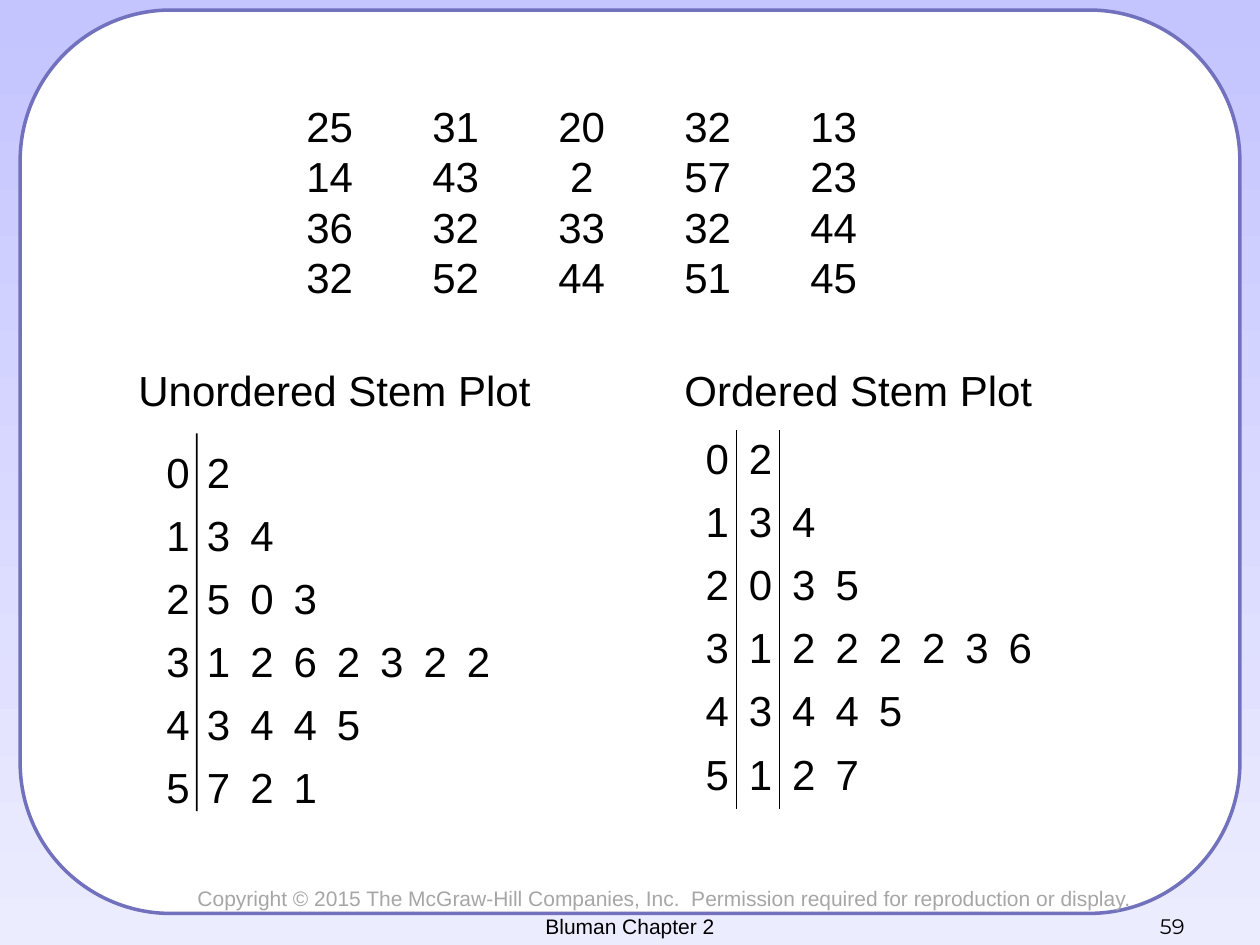
from dataclasses import dataclass

from lxml.etree import SubElement
from pptx import Presentation
from pptx.dml.color import RGBColor as RGB
from pptx.enum.shapes import MSO_SHAPE as SHAPE
from pptx.enum.text import MSO_ANCHOR as ANCHOR, PP_ALIGN as ALIGN
from pptx.oxml.ns import qn
from pptx.util import Pt


@dataclass(frozen=True)
class Theme:
    sky_top: RGB = RGB(0xC4, 0xC4, 0xFF)
    sky_bottom: RGB = RGB(0xEC, 0xEC, 0xFF)
    paper: RGB = RGB(0xFF, 0xFF, 0xFF)
    frame: RGB = RGB(0x71, 0x71, 0xBD)
    ink: RGB = RGB(0, 0, 0)
    muted: RGB = RGB(0xA6, 0xA6, 0xA6)
    font: str = "Arial"
    number_font: str = "Montserrat"
    body: int = 24
    small: int = 12


THEME = Theme()
PLAIN_TABLE_STYLE = "{2D5ABB26-0587-4C30-8999-92F81FD0307C}"
LINE_PITCH = 28.8
TAB_STEP = 72
COLUMNS = 8
COLUMN_WIDTH = 24.75
ROW_HEIGHT = 36

DATA = ["25\t31\t20\t32\t13", "14\t43\t 2\t57\t23",
        "36\t32\t33\t32\t44", "32\t52\t44\t51\t45"]
UNORDERED = ["2", "34", "503", "1262322", "3445", "721"]
ORDERED = ["2", "34", "035", "1222236", "3445", "127"]


def add_run(p, text, size, color=THEME.ink, font=THEME.font):
    r = p.add_run()
    r.text = text
    r.font.name = font
    r.font.size = Pt(size)
    r.font.bold = False
    r.font.color.rgb = color


def add_tabs(p, count):
    tabs = SubElement(p._p.get_or_add_pPr(), qn("a:tabLst"))
    for i in range(1, count + 1):
        SubElement(tabs, qn("a:tab"), pos=str(Pt(i * TAB_STEP)), algn="l")


def add_text(s, box, lines, size, color=THEME.ink, font=THEME.font,
             align=ALIGN.LEFT, anchor=ANCHOR.TOP, pitch=None, wrap=True):
    tf = s.shapes.add_textbox(*map(Pt, box)).text_frame
    tf.word_wrap = wrap
    tf.vertical_anchor = anchor
    for i, line in enumerate(lines):
        p = tf.paragraphs[0] if i == 0 else tf.add_paragraph()
        p.alignment = align
        if pitch:
            p.line_spacing = Pt(pitch)
        if "\t" in line:
            add_tabs(p, line.count("\t"))
        add_run(p, line, size, color, font)
    return tf


def add_body_text(s, box, lines, top_inset, wrap=True):
    tf = add_text(s, box, lines, THEME.body, pitch=LINE_PITCH, wrap=wrap)
    tf.margin_top = Pt(top_inset)


def add_background(s):
    fill = s.background.fill
    fill.gradient()
    fill.gradient_angle = 270
    for stop, color in zip(fill.gradient_stops, (THEME.sky_top, THEME.sky_bottom)):
        stop.color.rgb = color


def add_block(s, shape, box, color):
    sp = s.shapes.add_shape(shape, *map(Pt, box))
    sp.shadow.inherit = False
    sp.fill.solid()
    sp.fill.fore_color.rgb = color
    sp.line.fill.background()
    return sp


def add_frame(s):
    sp = add_block(s, SHAPE.ROUNDED_RECTANGLE, (11.5, 5.75, 697, 516.25), THEME.paper)
    sp.line.color.rgb = THEME.frame
    sp.line.width = Pt(2)


def stem_cells(leaves):
    for stem, row in enumerate(leaves):
        for i, digit in enumerate(f"{stem}{row}".ljust(COLUMNS)):
            yield stem, i, digit.strip()


def add_stem_blocks(s, left, top, leaves):
    for row, i, digit in stem_cells(leaves):
        box = (left + i * COLUMN_WIDTH, top + row * ROW_HEIGHT, COLUMN_WIDTH, ROW_HEIGHT)
        sp = add_block(s, SHAPE.RECTANGLE, box, THEME.paper)
        if digit:
            tf = sp.text_frame
            tf.word_wrap = False
            tf.vertical_anchor = ANCHOR.TOP
            tf.margin_left = Pt(6 if i else 7.5)
            tf.margin_top = Pt(7.5)
            tf.margin_right = tf.margin_bottom = 0
            p = tf.paragraphs[0]
            p.alignment = ALIGN.LEFT
            add_run(p, digit, THEME.body)
    add_block(s, SHAPE.RECTANGLE,
              (left + COLUMN_WIDTH - 0.25, top, 1, len(leaves) * ROW_HEIGHT), THEME.ink)


def add_border(cell, side):
    ln = SubElement(cell._tc.get_or_add_tcPr(), qn(f"a:{side}"), w=str(Pt(1)))
    fill = SubElement(ln, qn("a:solidFill"))
    SubElement(fill, qn("a:srgbClr"), val=str(THEME.ink))


def add_stem_table(s, left, top, leaves):
    table = s.shapes.add_table(len(leaves), COLUMNS, Pt(left), Pt(top),
                               Pt(COLUMNS * COLUMN_WIDTH),
                               Pt(len(leaves) * ROW_HEIGHT)).table
    table.first_row = table.horz_banding = False
    table._tbl.tblPr.find(qn("a:tableStyleId")).text = PLAIN_TABLE_STYLE
    for column in table.columns:
        column.width = Pt(COLUMN_WIDTH)
    for row in table.rows:
        row.height = Pt(ROW_HEIGHT)
    for row, i, digit in stem_cells(leaves):
        cell = table.cell(row, i)
        cell.margin_right = 0
        if i < 2:
            add_border(cell, "lnL" if i else "lnR")
        cell.fill.solid()
        cell.fill.fore_color.rgb = THEME.paper
        if digit:
            add_run(cell.text_frame.paragraphs[0], digit, THEME.body)


def add_footer(s):
    add_text(s, (105.8, 502.5, 552.2, 21.6),
             ["Copyright © 2015 The McGraw-Hill Companies, Inc.  "
              "Permission required for reproduction or display."],
             THEME.small, THEME.muted, wrap=False)
    add_text(s, (516, 504, 168, 36), ["59"], THEME.small, font=THEME.number_font,
             align=ALIGN.RIGHT, anchor=ANCHOR.BOTTOM)
    add_text(s, (246, 504, 228, 36), ["Bluman Chapter 2"], THEME.small,
             align=ALIGN.CENTER, anchor=ANCHOR.BOTTOM)


def main():
    prs = Presentation()
    prs.slide_width, prs.slide_height = Pt(720), Pt(540)
    s = prs.slides.add_slide(prs.slide_layouts[6])
    add_background(s)
    add_frame(s)
    add_body_text(s, (168, 54, 378, 124), DATA, 3.5)
    add_stem_table(s, 396, 246, ORDERED)
    add_body_text(s, (72, 204, 241, 36.7), ["Unordered Stem Plot"], 4, wrap=False)
    add_body_text(s, (384, 204, 215, 36.7), ["Ordered Stem Plot"], 4, wrap=False)
    add_stem_blocks(s, 87.5, 247.6, UNORDERED)
    add_footer(s)
    prs.save("out.pptx")


if __name__ == "__main__":
    main()
